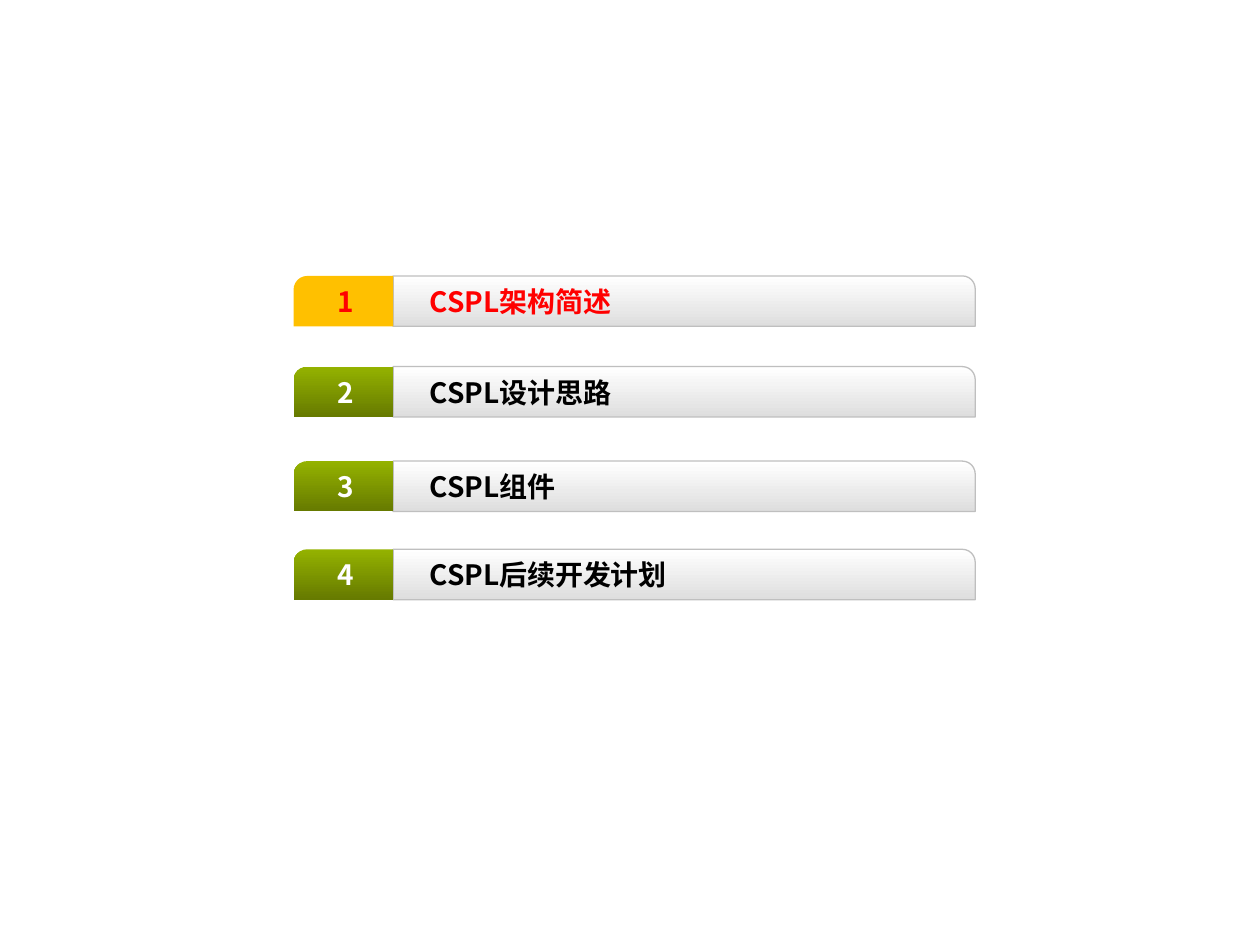
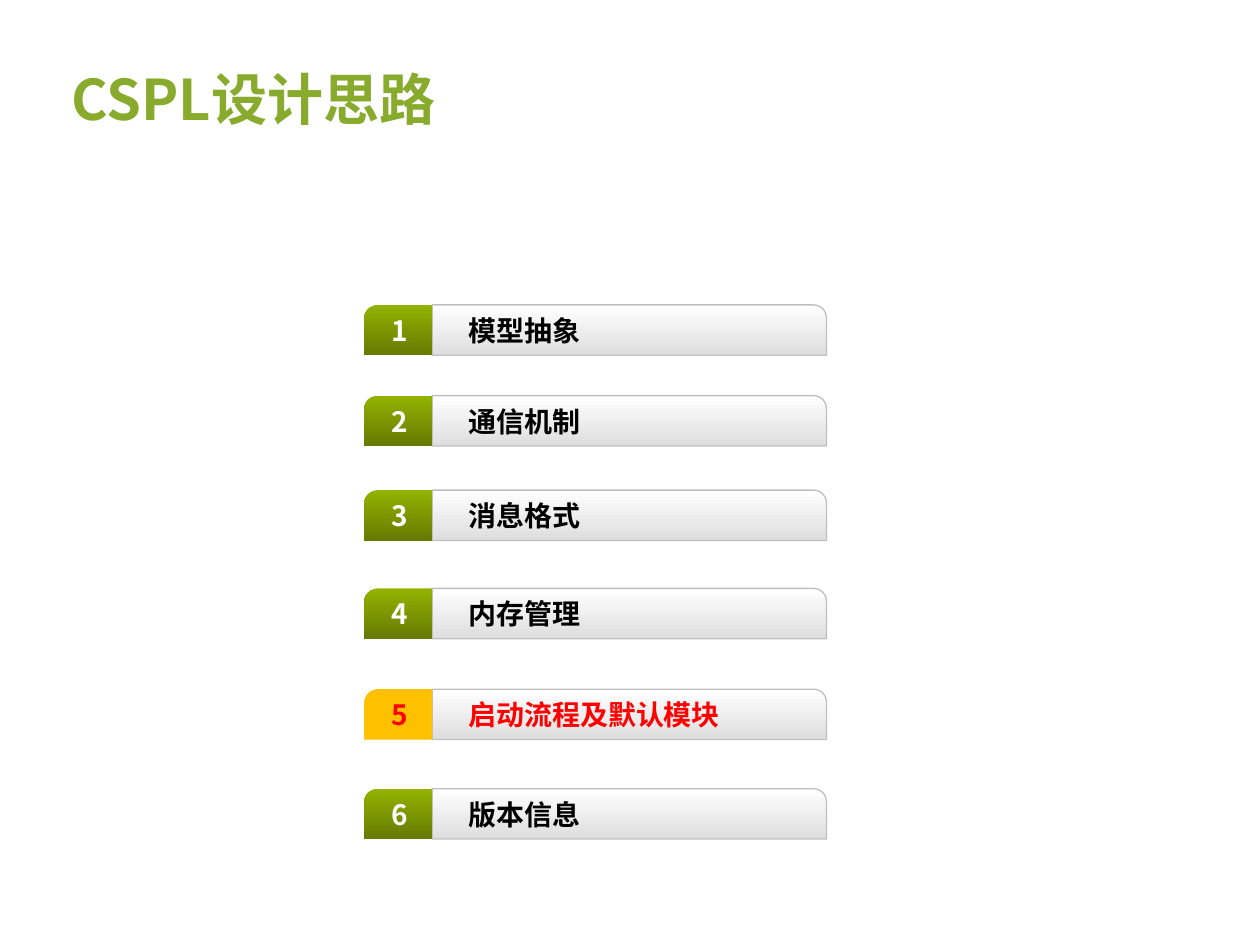
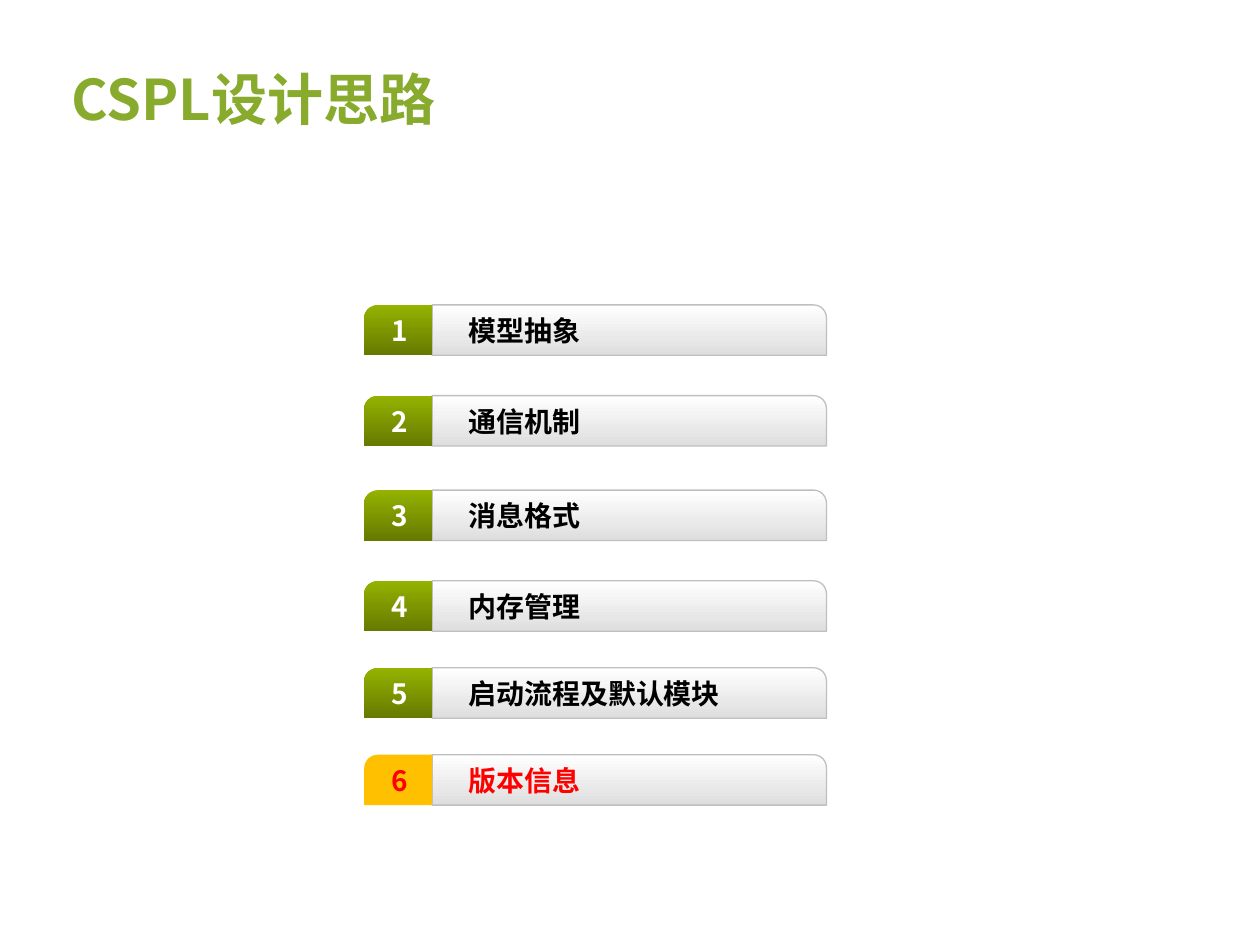
from dataclasses import dataclass

from lxml import etree
from pptx import Presentation
from pptx import util as u
from pptx.dml.color import RGBColor
from pptx.enum import shapes, text
from pptx.oxml.ns import qn


@dataclass(frozen=True)
class Theme:
    font: str = "Noto Sans CJK SC"
    title_size: int = 32
    entry_size: int = 16
    title: str = "88AB2D"
    entry: str = "000000"
    number: str = "FFFFFF"
    current: str = "FF0000"
    current_badge: str = "FFC000"
    badge: tuple = ("94B200", "667A00")
    bar: tuple = ("FFFFFF", "DEDEDE")
    bar_line: str = "BFBFBF"


class Deck:
    """Builds agenda slides in one theme."""

    def __init__(self, theme):
        self.theme = theme
        self.prs = Presentation()
        self.prs.slide_width, self.prs.slide_height = u.Inches(10), u.Inches(7.5)
        self.slide = None

    def new_slide(self):
        self.slide = self.prs.slides.add_slide(self.prs.slide_layouts[6])

    def set_words(self, shape, words, size, color, align=text.PP_ALIGN.LEFT):
        frame = shape.text_frame
        frame.word_wrap = True
        frame.vertical_anchor = text.MSO_ANCHOR.MIDDLE
        paragraph = frame.paragraphs[0]
        paragraph.text = words
        paragraph.alignment = align
        font = paragraph.font
        font.name, font.size, font.bold = self.theme.font, u.Pt(size), True
        font.color.rgb = RGBColor.from_string(color)
        defaults = paragraph._p.pPr.find(qn("a:defRPr"))
        etree.SubElement(defaults, qn("a:ea"), typeface=self.theme.font)

    def title(self, words):
        box = self.slide.shapes.add_textbox(
            u.Inches(0.47), u.Inches(0.47), u.Inches(6.48), u.Inches(0.62))
        self.set_words(box, words, self.theme.title_size, self.theme.title)

    def tab(self, left, top, width, rounding, fill):
        tab = self.slide.shapes.add_shape(
            shapes.MSO_SHAPE.ROUND_1_RECTANGLE,
            u.Inches(left), u.Inches(top), u.Inches(width), u.Inches(0.4))
        tab.adjustments[0] = rounding
        tab.shadow.inherit = False
        tab.line.fill.background()
        if isinstance(fill, str):
            tab.fill.solid()
            tab.fill.fore_color.rgb = RGBColor.from_string(fill)
        else:
            tab.fill.gradient()
            tab.fill.gradient_angle = 270
            for stop, color, position in zip(tab.fill.gradient_stops, fill, (0, 1)):
                stop.color.rgb = RGBColor.from_string(color)
                stop.position = position
        return tab

    def bar(self, left, top, width, label, is_current):
        theme = self.theme
        bar = self.tab(left, top, width, 0.255, theme.bar)
        bar.line.color.rgb = RGBColor.from_string(theme.bar_line)
        bar.line.width = u.Pt(0.75)
        bar.text_frame.margin_left = u.Inches(0.29)
        self.set_words(bar, label, theme.entry_size,
                       theme.current if is_current else theme.entry)

    def badge(self, left, top, width, number, is_current):
        theme = self.theme
        badge = self.tab(left, top, width, 0.271,
                         theme.current_badge if is_current else theme.badge)
        badge._element.spPr.xfrm.set("flipH", "1")
        self.set_words(badge, str(number), theme.entry_size,
                       theme.current if is_current else theme.number,
                       text.PP_ALIGN.CENTER)

    def agenda(self, labels, tops, current, left, badge_width, bar_width):
        for number, (label, top) in enumerate(zip(labels, tops), 1):
            is_current = number == current
            self.bar(left + badge_width, top, bar_width, label, is_current)
            self.badge(left, top, badge_width, number, is_current)


CHAPTERS = ["CSPL架构简述", "CSPL设计思路", "CSPL组件", "CSPL后续开发计划"]
DESIGN_TOPICS = ["模型抽象", "通信机制", "消息格式", "内存管理", "启动流程及默认模块", "版本信息"]
DESIGN_PAGES = [
    (5, [2.42, 3.14, 3.89, 4.67, 5.47, 6.26]),
    (6, [2.42, 3.14, 3.89, 4.61, 5.3, 5.99]),
]


def main():
    deck = Deck(Theme())
    deck.new_slide()
    deck.agenda(CHAPTERS, [2.19, 2.91, 3.66, 4.36], current=1,
                left=2.33, badge_width=0.79, bar_width=4.62)
    for current, tops in DESIGN_PAGES:
        deck.new_slide()
        deck.title(CHAPTERS[1])
        deck.agenda(DESIGN_TOPICS, tops, current,
                    left=2.89, badge_width=0.54, bar_width=3.13)
    deck.prs.save("out.pptx")


if __name__ == "__main__":
    main()
